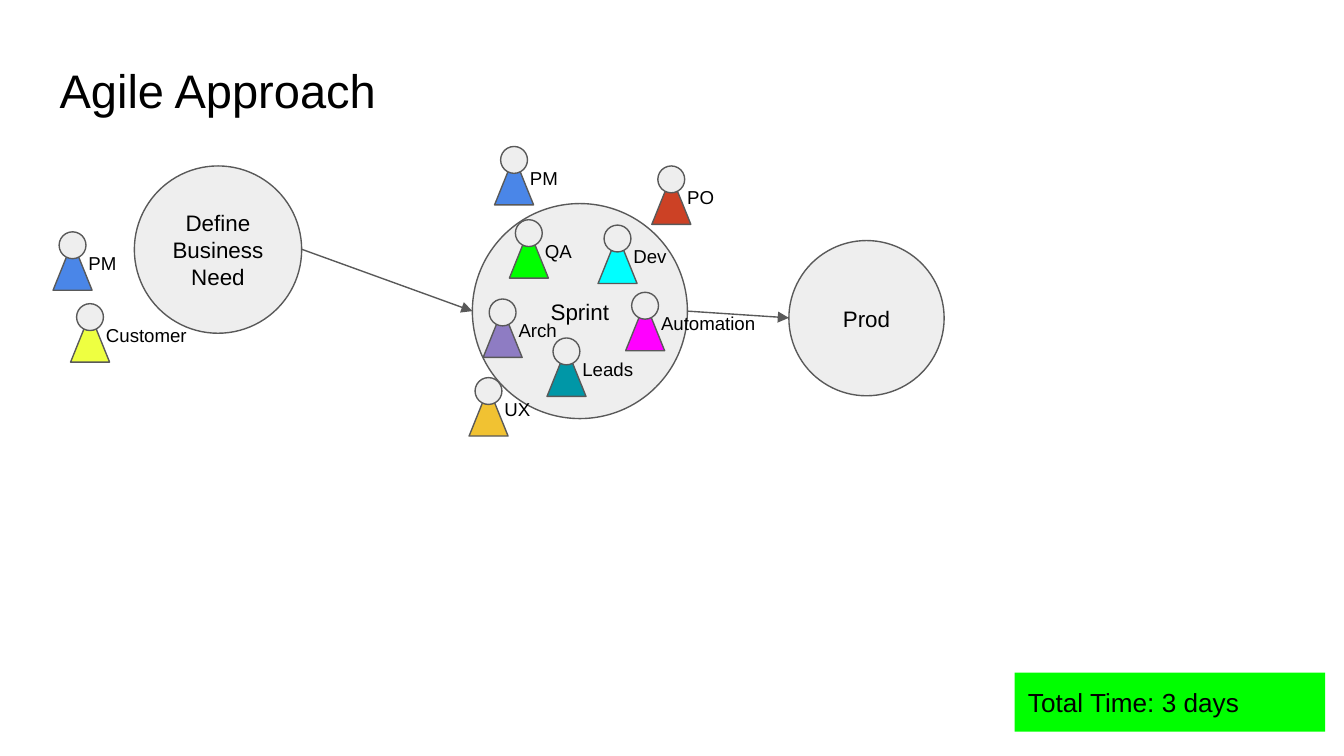
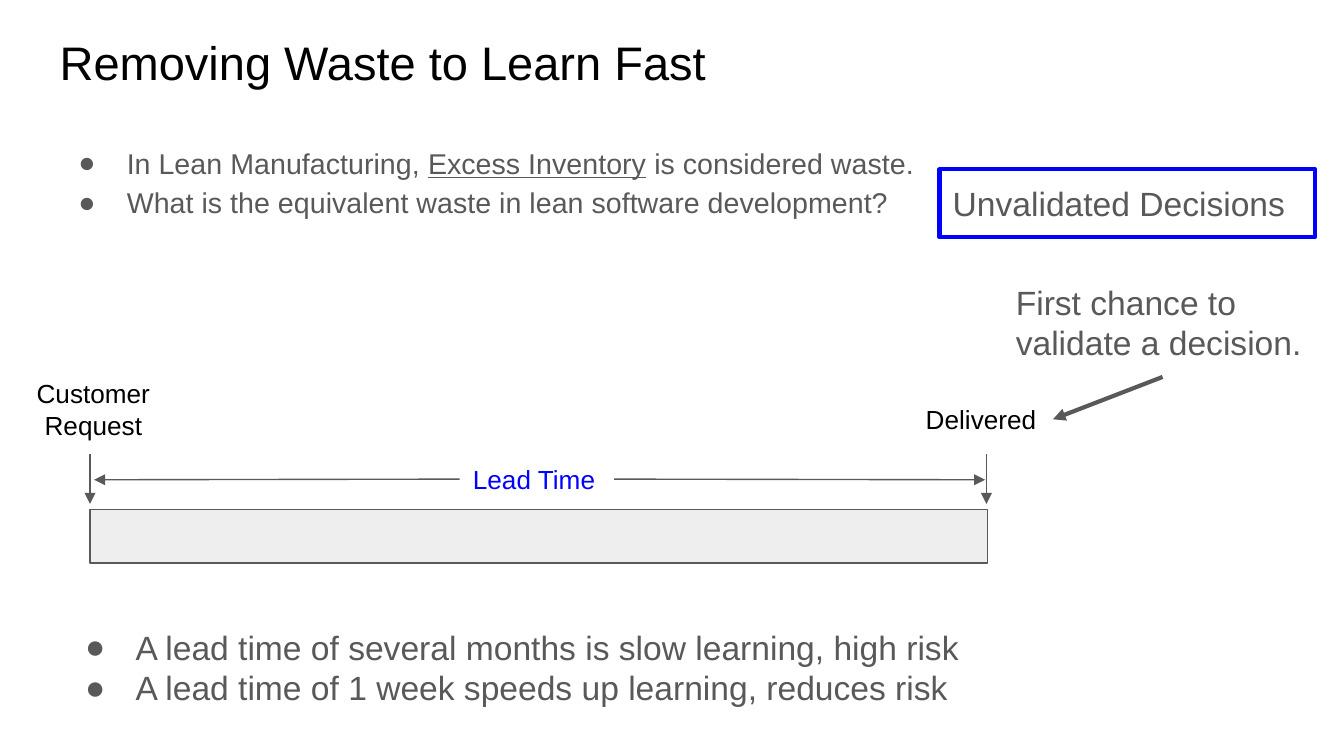
from dataclasses import dataclass
from itertools import pairwise

from lxml import etree
from pptx import Presentation
from pptx.dml.color import RGBColor
from pptx.enum.shapes import MSO_CONNECTOR, MSO_SHAPE
from pptx.enum.text import MSO_ANCHOR, PP_ALIGN
from pptx.oxml.ns import qn
from pptx.util import Emu, Pt

RECT, OVAL, CONE = MSO_SHAPE.RECTANGLE, MSO_SHAPE.OVAL, MSO_SHAPE.ISOSCELES_TRIANGLE
LINE = MSO_CONNECTOR.STRAIGHT
LEFT, MID = PP_ALIGN.LEFT, PP_ALIGN.CENTER
TOP, CORE = MSO_ANCHOR.TOP, MSO_ANCHOR.MIDDLE
PX = 4572
WIDE, HIGH = 2000, 1125


@dataclass(frozen=True)
class Theme:
    font: str = "Arial"
    ink: str = "000000"
    grey: str = "595959"
    pale: str = "EEEEEE"
    white: str = "FFFFFF"
    blue: str = "0000FF"
    green: str = "00FF00"
    title: float = 25.2
    large: float = 18
    body: float = 15.3
    label: float = 14
    step: float = 12
    role: float = 10
    thin: float = 0.75
    thick: float = 2.25


T = Theme()

AGILE = "Agile Approach"
STEPS = [
    ("Define Business Need", 200, 247, 249),
    ("Sprint", 703, 303, 320),
    ("Prod", 1174, 358, 231),
]
ROLES = [
    ("PM", "4A86E8", 79, 345, 88),
    ("Customer", "EEFF41", 105, 452, 164),
    ("Arch", "8E7CC3", 719, 445, 98),
    ("UX", "F1C232", 698, 562, 98),
    ("PO", "CC4125", 970, 247, 98),
    ("Leads", "0097A7", 814, 503, 176),
    ("PM", "4A86E8", 736, 218, 88),
    ("Dev", "00FFFF", 890, 335, 91),
    ("QA", "00FF00", 758, 327, 82),
    ("Automation", "FF00FF", 931, 435, 196),
]
TOTAL = "Total Time: 3 days"

WASTE = "Removing Waste to Learn Fast"
LEAN = [
    ["In Lean Manufacturing, ", ("Excess Inventory", True), " is considered waste."],
    ["What is the equivalent waste in lean software development?"],
]
ANSWER = "Unvalidated Decisions"
CHANCE = "First chance to validate a decision."
SPEED = [
    ["A lead time of several months is slow learning, high risk"],
    ["A lead time of 1 week speeds up learning, reduces risk"],
]
BAR = (134, 758, 1336, 80)


def px(*nums):
    return [Emu(n * PX) for n in nums]


def rgb(tone):
    return RGBColor.from_string(tone)


def bullet(para, hang):
    props = para._p.get_or_add_pPr()
    props.set("marL", str(100 * PX))
    props.set("indent", str(-hang * PX))
    tone = etree.SubElement(props, qn("a:buClr"))
    etree.SubElement(tone, qn("a:srgbClr"), val=T.grey)
    etree.SubElement(props, qn("a:buFont"), typeface=T.font)
    etree.SubElement(props, qn("a:buChar"), char="●")


def write(shape, paras, size, tone=T.ink, align=LEFT, anchor=TOP, hang=0, pitch=None):
    frame = shape.text_frame
    frame.word_wrap = True
    frame.vertical_anchor = anchor
    frame.margin_left = frame.margin_right = Emu(20 * PX)
    frame.margin_top = frame.margin_bottom = Emu(20 * PX)
    for i, runs in enumerate(paras):
        para = frame.add_paragraph() if i else frame.paragraphs[0]
        para.alignment = align
        if pitch:
            para.line_spacing = pitch
        if hang:
            bullet(para, hang)
        for part in runs:
            words, under = part if isinstance(part, tuple) else (part, None)
            run = para.add_run()
            run.text = words
            font = run.font
            font.name, font.size, font.underline = T.font, Pt(size), under
            font.color.rgb = rgb(tone)


def text(host, at, paras, size, **style):
    box = host.add_textbox(*px(*at))
    write(box, paras, size, **style)
    return box


def form(host, kind, at, fill=None, edge=T.grey, width=T.thin):
    shape = host.add_shape(kind, *px(*at))
    shape.shadow.inherit = False
    if fill:
        shape.fill.solid()
        shape.fill.fore_color.rgb = rgb(fill)
    else:
        shape.fill.background()
    if edge:
        shape.line.color.rgb = rgb(edge)
        shape.line.width = Pt(width)
    else:
        shape.line.fill.background()
    return shape


def arrow(host, start, end, width=T.thin):
    line = host.add_connector(LINE, *px(*start, *end))
    line.line.color.rgb = rgb(T.grey)
    line.line.width = Pt(width)
    etree.SubElement(line.line._get_or_add_ln(), qn("a:tailEnd"), type="triangle")
    etree.SubElement(line._element.spPr, qn("a:effectLst"))
    return line


def page(deck, title, top):
    host = deck.slides.add_slide(deck.slide_layouts[6]).shapes
    text(host, (69, top, 1864, 126), [[title]], T.title)
    return host


def person(host, name, tone, x, y, wide):
    group = host.add_group_shape().shapes
    form(group, CONE, (x, y + 15, 58, 72), tone)
    form(group, OVAL, (x + 9, y, 40, 40), T.pale)
    text(group, (x + 33, y + 13, wide, 74), [[name]], T.role)


def agile(deck):
    host = page(deck, AGILE, 71)
    for name, x, y, d in STEPS:
        ring = form(host, OVAL, (x, y, d, d), T.pale)
        write(ring, [[name]], T.step, align=MID, anchor=CORE)
    for (_, x, y, d), (_, to_x, to_y, to_d) in pairwise(STEPS):
        arrow(host, (x + d, y + d // 2), (to_x, to_y + to_d // 2))
    for role in ROLES:
        person(host, *role)
    badge = form(host, RECT, (1510, 1001, 462, 88), T.green, None)
    write(badge, [[TOTAL]], T.label)


def span(host):
    group = host.add_group_shape().shapes
    form(group, RECT, BAR, T.pale)
    text(group, (32, 542, 214, 134), [["Customer Request"]], T.label, align=MID)
    done = text(group, (1353, 580, 214, 88), [["Delivered"]], T.label, align=MID)
    first, last = BAR[0], BAR[0] + BAR[2] - 2
    for x in (first, last):
        arrow(group, (x, 676), (x, 750))
    lead = form(group, RECT, (684, 669, 230, 88), None, T.white)
    write(lead, [["Lead Time"]], T.label, T.blue)
    for side, x, end in ((3, 914, last - 2), (1, 684, first + 6)):
        arrow(group, (x, 713), (end, 714)).begin_connect(lead, side)
    return done


def waste(deck):
    host = page(deck, WASTE, 30)
    text(host, (69, 189, 1350, 208), LEAN, T.body, tone=T.grey, hang=72, pitch=1.15)
    box = form(host, RECT, (1398, 252, 559, 101), None, T.blue, T.thick)
    write(box, [[ANSWER]], T.large, T.grey)
    done = span(host)
    note = text(host, (1492, 399, 476, 162), [[CHANCE]], T.large, tone=T.grey)
    link = arrow(host, (1730, 561), (1567, 624), T.thick)
    link.begin_connect(note, 2)
    link.end_connect(done, 3)
    text(host, (82, 913, 1458, 162), SPEED, T.large, tone=T.grey, hang=75)


def main():
    deck = Presentation()
    deck.slide_width, deck.slide_height = px(WIDE, HIGH)
    agile(deck)
    waste(deck)
    deck.save("out.pptx")


if __name__ == "__main__":
    main()
